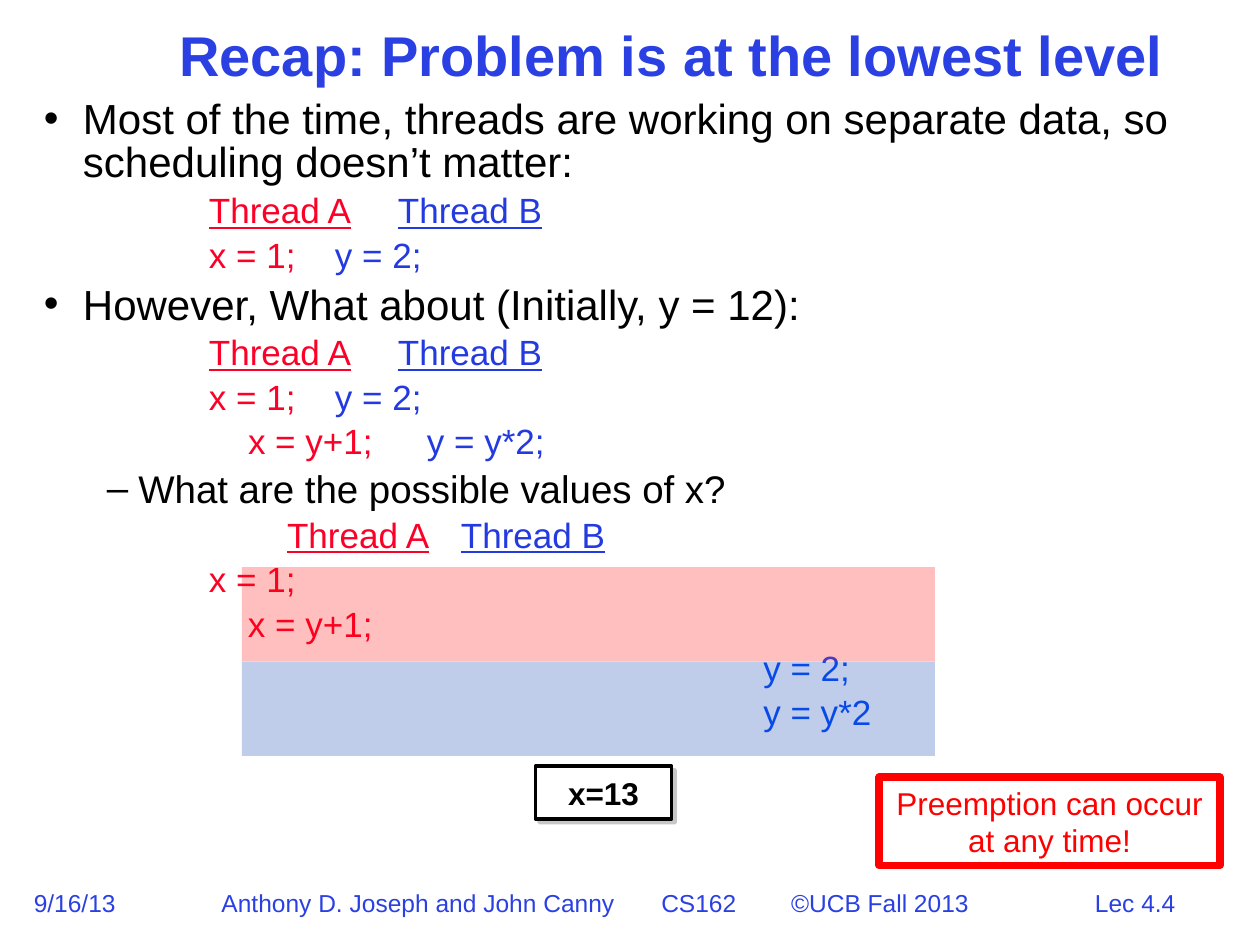
"""Build the thread scheduling recap slide."""
from lxml.etree import SubElement
from pptx import Presentation
from pptx.dml.color import RGBColor
from pptx.enum.shapes import MSO_SHAPE as Shape
from pptx.enum.text import MSO_ANCHOR as Anchor, PP_ALIGN as Align
from pptx.oxml import parse_xml
from pptx.oxml.ns import nsdecls, qn
from pptx.util import Inches, Pt

COLORS = {
    "title": "2A40E2", "text": "000000", "thread_a": "FC0128",
    "thread_b": "233AE1", "result_b": "0B52FC", "warning": "FF0000",
    "band_a": "FF0000", "band_b": "0235AD", "white": "FFFFFF",
}
CODE_LEFT = 1.31
HEADING = [("Thread A", "thread_a"), ("\t", "thread_a"), ("Thread B", "thread_b")]
ASSIGN = [("x = 1;\t", "thread_a"), ("y = 2;", "thread_b")]
UPDATE = [("x = y+1;\t", "thread_a"), ("y = y*2;", "thread_b")]


def color(name):
    """Return the named colour."""
    return RGBColor.from_string(COLORS[name])


def style(span, size, name, bold=False):
    """Format one run."""
    span.font.name = "Arial"
    span.font.size = Pt(size)
    span.font.bold = bold
    span.font.color.rgb = color(name)


def fill_text(box, lines, size, name, bold=False, align=Align.LEFT):
    """Put uniformly styled lines into a shape."""
    frame = box.text_frame
    frame.text = "\n".join(lines)
    frame.word_wrap = True
    for para in frame.paragraphs:
        para.alignment = align
        for span in para.runs:
            style(span, size, name, bold)


def add_label(page, place, text, size, bold=False, align=Align.LEFT):
    """Add a single-line text box in the title colour."""
    box = page.shapes.add_textbox(*map(Inches, place))
    fill_text(box, [text], size, "title", bold, align)
    return box


def add_tabs(para, stops):
    """Set left tab stops on a paragraph."""
    tabs = SubElement(para._p.get_or_add_pPr(), qn("a:tabLst"))
    for stop in stops:
        SubElement(tabs, qn("a:tab"), pos=str(Inches(stop)), algn="l")


def add_line(frame, spans, size, left, first=0, before=5, bullet=None):
    """Append a body paragraph made of (text, colour) spans."""
    para = frame.paragraphs[0]
    if para.runs:
        para = frame.add_paragraph()
    para.text = "".join(text for text, name in spans[:0])
    para.line_spacing = 0.85
    para.space_before = Pt(before)
    props = para._p.get_or_add_pPr()
    props.set("marL", str(Inches(left)))
    props.set("indent", str(Inches(first)))
    if bullet:
        tint = SubElement(props, qn("a:buClr"))
        SubElement(tint, qn("a:srgbClr"), val=COLORS["text"])
        SubElement(props, qn("a:buFont"), typeface="Arial")
        SubElement(props, qn("a:buChar"), char=bullet)
    for text, name in spans:
        span = para.add_run()
        span.text = text
        style(span, size, name)
        span.font.underline = text.startswith("Thread")


def add_bullet(frame, text):
    """Append a top-level bullet."""
    add_line(frame, [(text, "text")], 24, 0.31, -0.31, 6, "•")


def add_code(frame, spans, left=CODE_LEFT, first=0):
    """Append a row of thread code."""
    add_line(frame, spans, 20, left, first)


def add_body(page):
    """Add the bullets and the thread code."""
    box = page.shapes.add_textbox(*map(Inches, (0.25, 0.75, 9.75, 5.25)))
    frame = box.text_frame
    frame.word_wrap = True
    add_bullet(frame, "Most of the time, threads are working on separate data, "
                      "so scheduling doesn’t matter:")
    add_code(frame, HEADING)
    add_code(frame, ASSIGN)
    add_bullet(frame, "However, What about (Initially, y = 12):")
    add_code(frame, HEADING)
    add_code(frame, ASSIGN)
    add_code(frame, UPDATE, CODE_LEFT + 0.23, 0.08)
    add_line(frame, [("What are the possible values of x?", "text")],
             22, 0.75, -0.25, 5.5, "–")
    add_code(frame, HEADING, first=0.62)
    add_code(frame, [("x = 1;", "thread_a")])
    add_code(frame, [("x = y+1;", "thread_a")], first=0.31)
    for text in ("y = 2;", "y = y*2"):
        add_code(frame, [(text, "result_b")], 5.71)


def add_rect(page, place, fill=None, line=None, width=0):
    """Add a plain rectangle."""
    box = page.shapes.add_shape(Shape.RECTANGLE, *map(Inches, place))
    box.shadow.inherit = False
    if fill:
        box.fill.solid()
        box.fill.fore_color.rgb = color(fill)
    else:
        box.fill.background()
    if line:
        box.line.color.rgb = color(line)
        box.line.width = Pt(width)
    else:
        box.line.fill.background()
    return box


def add_band(page, top, fill):
    """Add a translucent band behind one thread's steps."""
    band = add_rect(page, (1.92, top, 5.5, 0.75), fill)
    tint = band._element.spPr.find(qn("a:solidFill")).find(qn("a:srgbClr"))
    SubElement(tint, qn("a:alpha"), val="25000")


def add_result(page):
    """Add the shadowed result box."""
    box = add_rect(page, (4.25, 6.08, 1.08, 0.42), "white", "text", 2)
    fill_text(box, ["x=13"], 18, "text", True, Align.CENTER)
    box.text_frame.vertical_anchor = Anchor.MIDDLE
    effects = box._element.spPr.find(qn("a:effectLst"))
    effects.append(parse_xml(
        f'<a:outerShdw {nsdecls("a")} dist="38100" dir="2700000">'
        '<a:srgbClr val="808080"><a:alpha val="43000"/></a:srgbClr>'
        '</a:outerShdw>'))


def add_warning(page):
    """Add the outlined preemption warning."""
    box = add_rect(page, (6.98, 6.17, 2.7, 0.7), None, "warning", 4.5)
    fill_text(box, ["Preemption can occur", "at any time!"], 18, "warning",
              align=Align.CENTER)
    box.text_frame.vertical_anchor = Anchor.TOP


def add_footer(page):
    """Add lecture number, date and course line."""
    add_label(page, (8.2, 7, 1.62, 0.33), "Lec 4.4", 14, align=Align.CENTER)
    add_label(page, (0.17, 7, 0.9, 0.33), "9/16/13", 14)
    course = add_label(page, (1.66, 7, 6.2, 0.33),
                       "Anthony D. Joseph and John Canny\tCS162\t©UCB Fall 2013", 14)
    add_tabs(course.text_frame.paragraphs[0], (3.49, 4.52))


def main():
    """Build and save the deck."""
    deck = Presentation()
    deck.slide_width, deck.slide_height = Inches(10), Inches(7.5)
    page = deck.slides.add_slide(deck.slide_layouts[6])
    add_footer(page)
    title = add_label(page, (1.08, 0.17, 8.5, 0.58),
                      "Recap: Problem is at the lowest level", 32, True, Align.CENTER)
    title.text_frame.vertical_anchor = Anchor.MIDDLE
    title.text_frame.paragraphs[0].line_spacing = 0.9
    add_body(page)
    add_result(page)
    add_band(page, 4.5, "band_a")
    add_band(page, 5.25, "band_b")
    add_warning(page)
    deck.save("out.pptx")


if __name__ == "__main__":
    main()
